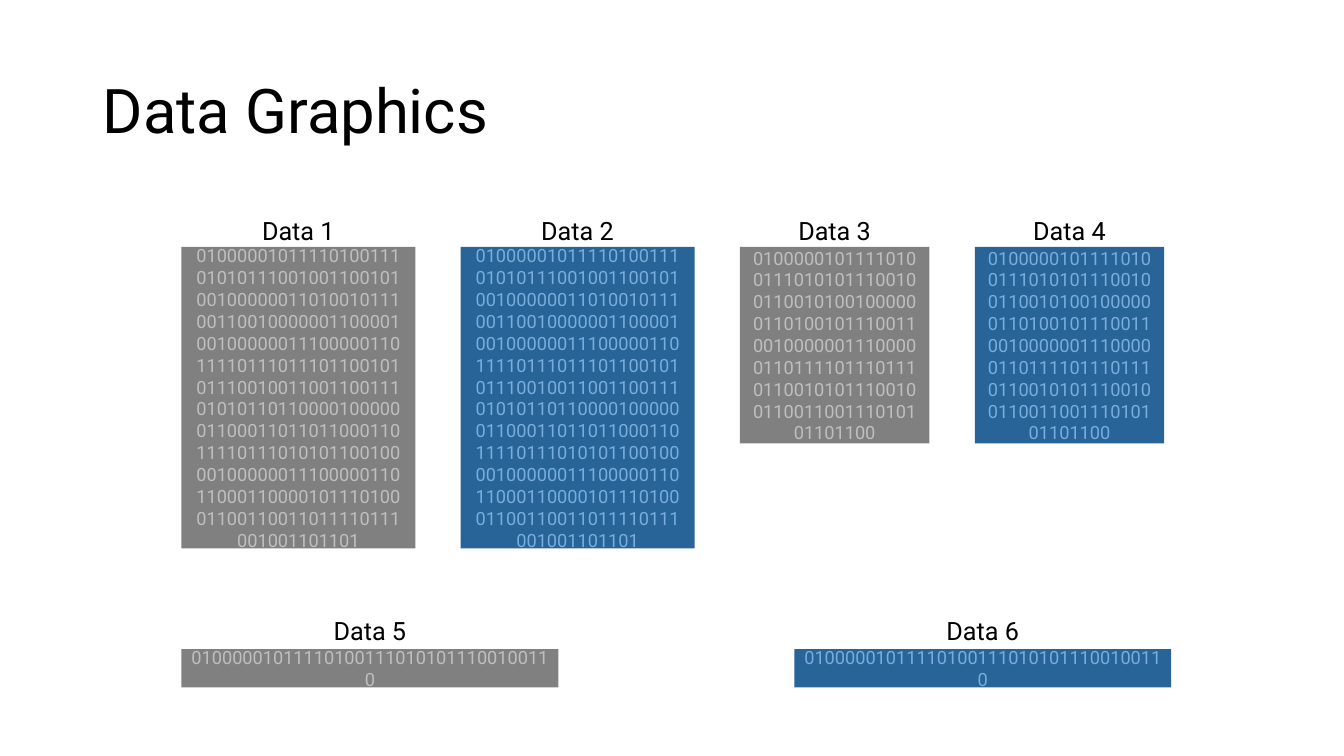
"""Build the Data Graphics slide: labelled blocks of binary digits in two rows."""
from pptx import Presentation
from pptx import util as u
from pptx.dml.color import RGBColor
from pptx.enum import shapes, text

HUES = {"ink": "000000", "gray": "808080", "silver": "BFBFBF",
        "blue": "286498", "sky": "78ADDD"}
STYLES = [("gray", "silver"), ("blue", "sky")]
LONG = ("01000001011110100111" "01010111001001100101"
        "00100000011010010111" "00110010000001100001"
        "00100000011100000110" "11110111011101100101"
        "01110010011001100111" "01010110110000100000"
        "01100011011011000110" "11110111010101100100"
        "00100000011100000110" "11000110000101110100"
        "01100110011011110111" "001001101101")
MID = ("0100000101111010" "0111010101110010" "0110010100100000"
       "0110100101110011" "0010000001110000" "0110111101110111"
       "0110010101110010" "0110011001110101" "01101100")
SHORT = MID[:36]
LEFT = 1.8
LABEL = (0.93, 0.4)
ROWS = [
    {"top": 2.45, "gap": 0.45, "lift": 0.36,
     "cells": [(2.32, 2.99, LONG)] * 2 + [(1.88, 1.95, MID)] * 2},
    {"top": 6.44, "gap": 2.34, "lift": 0.38,
     "cells": [(3.74, 0.38, SHORT)] * 2},
]


def write(shape, words, size, hue, align, anchor, wrap=True):
    frame = shape.text_frame
    frame.word_wrap = wrap
    frame.vertical_anchor = anchor
    para = frame.paragraphs[0]
    para.alignment = align
    run = para.add_run()
    run.text = words
    run.font.name = "Roboto"
    run.font.size = u.Pt(size)
    run.font.color.rgb = RGBColor.from_string(HUES[hue])
    return para


deck = Presentation()
deck.slide_width, deck.slide_height = u.Inches(13.333), u.Inches(7.5)
slide = deck.slides.add_slide(deck.slide_layouts[6])
MIDDLE, TOP = text.MSO_ANCHOR.MIDDLE, text.MSO_ANCHOR.TOP
CENTER, START = text.PP_ALIGN.CENTER, text.PP_ALIGN.LEFT

title = slide.shapes.add_textbox(*map(u.Inches, (0.92, 0.4, 11.5, 1.45)))
write(title, "Data Graphics", 44, "ink", START, MIDDLE).line_spacing = 0.9

count = 0
for row in ROWS:
    x, y = LEFT, row["top"]
    for wide, high, bits in row["cells"]:
        fill, hue = STYLES[count % 2]
        count += 1
        block = slide.shapes.add_shape(
            shapes.MSO_SHAPE.RECTANGLE, *map(u.Inches, (x, y, wide, high)))
        block.shadow.inherit = False
        block.fill.solid()
        block.fill.fore_color.rgb = RGBColor.from_string(HUES[fill])
        block.line.fill.background()
        write(block, bits, 13, hue, CENTER, MIDDLE)

        mid = x + (wide - LABEL[0]) / 2
        label = slide.shapes.add_textbox(
            *map(u.Inches, (mid, y - row["lift"], *LABEL)))
        write(label, f"Data {count}", 18, "ink", CENTER, TOP, False)
        label.text_frame.auto_size = text.MSO_AUTO_SIZE.SHAPE_TO_FIT_TEXT
        x += wide + row["gap"]

deck.save("out.pptx")
